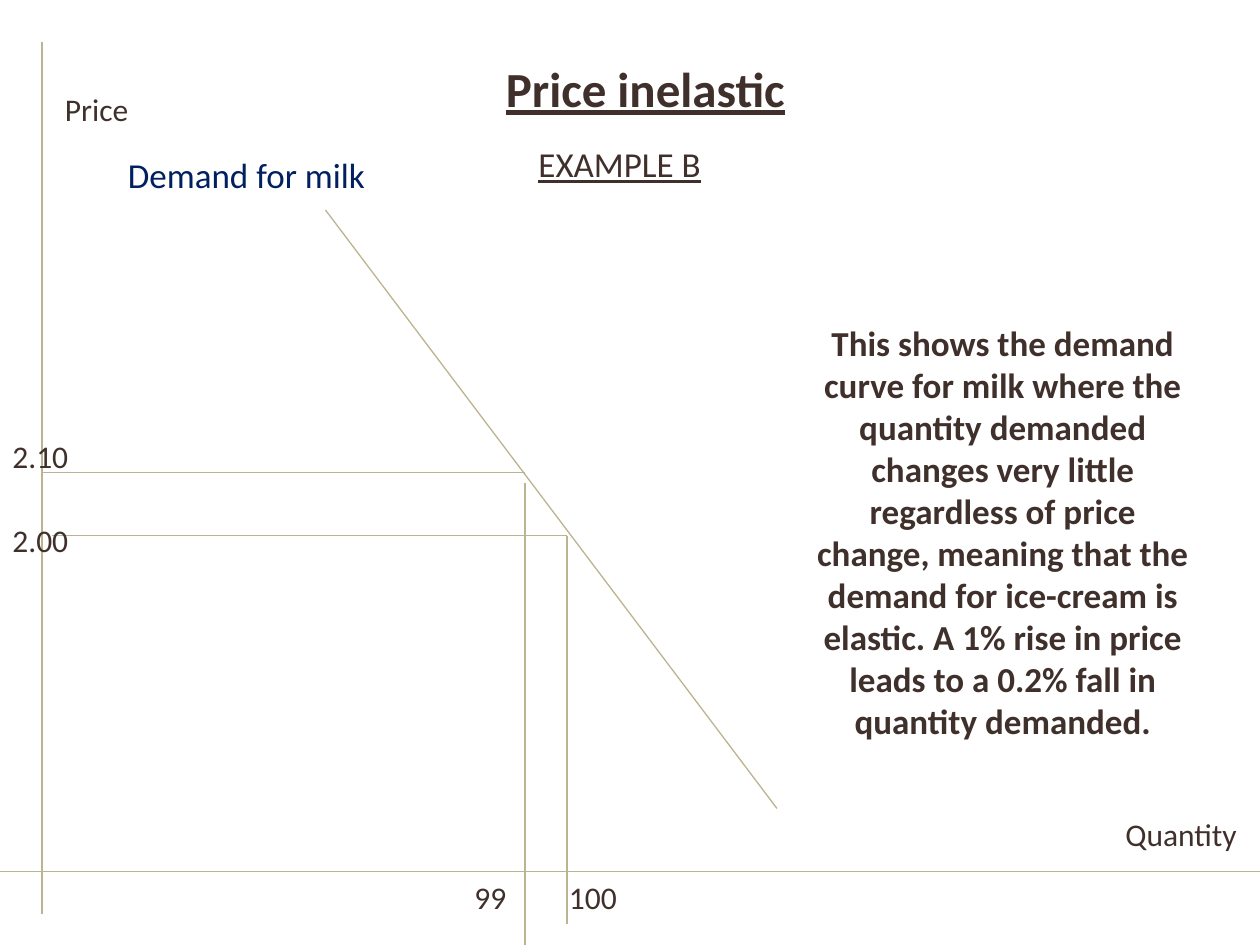
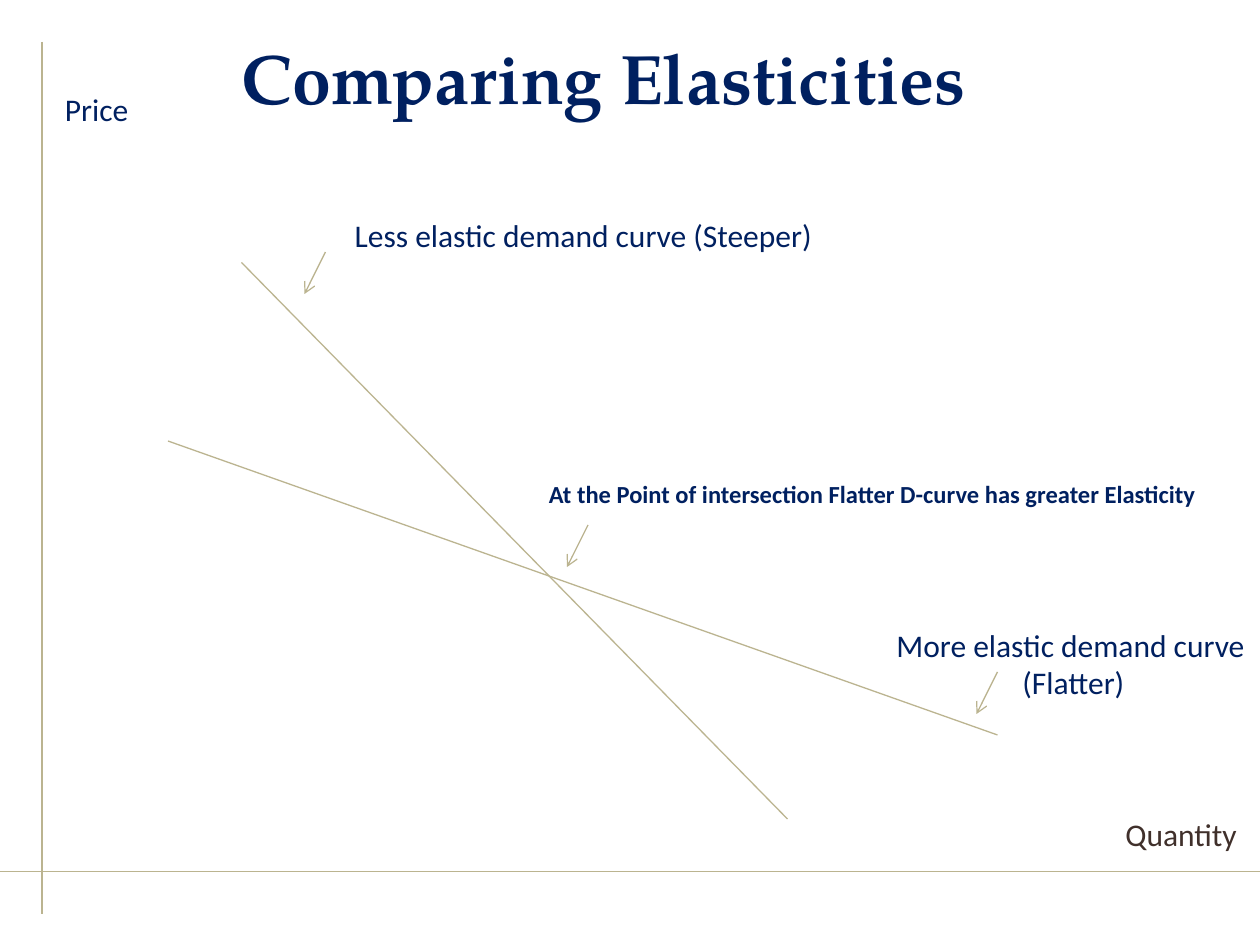
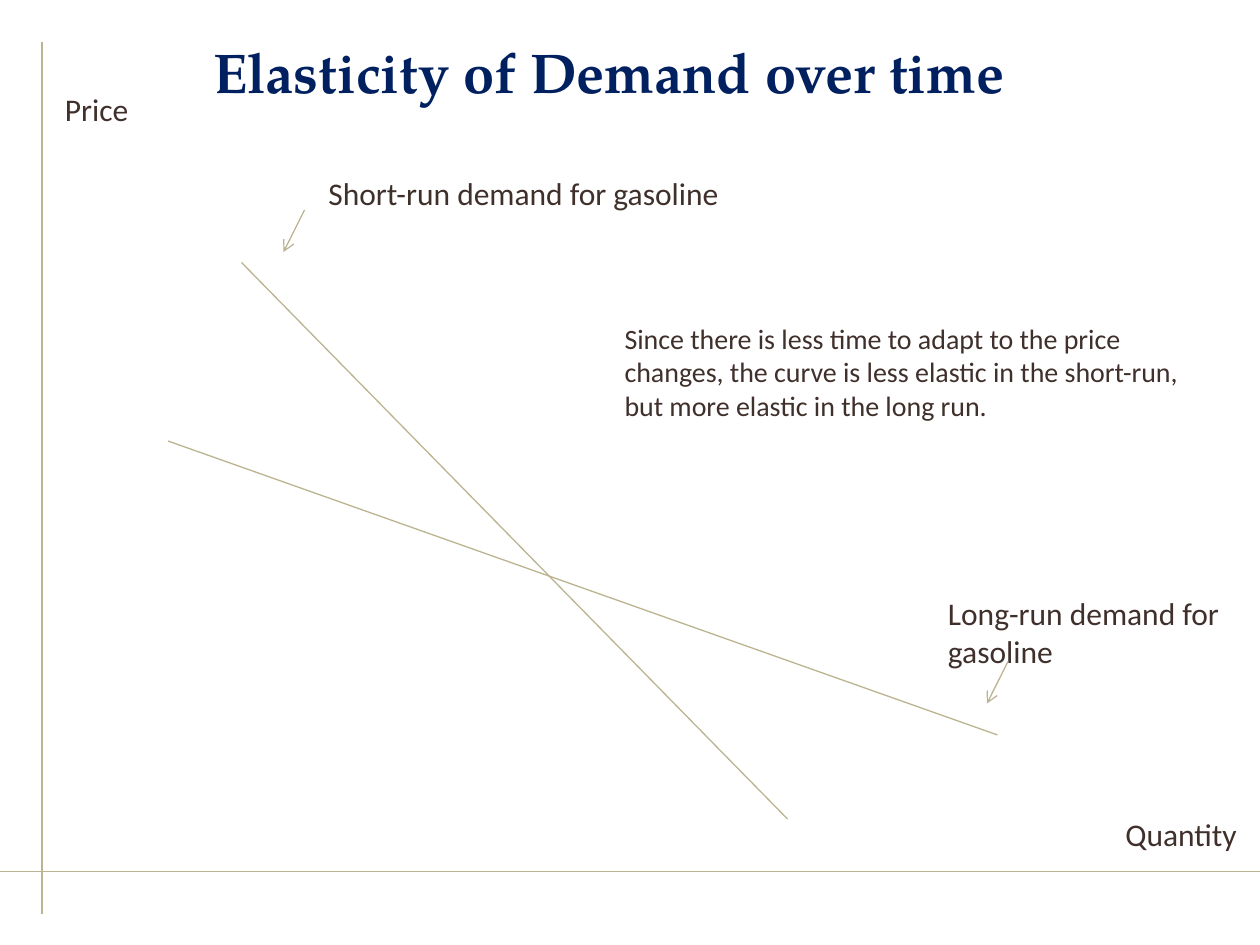
"""Three slides of demand curves and their price elasticity."""
from dataclasses import dataclass

from lxml import etree
from pptx import Presentation
from pptx import util as u
from pptx.dml.color import RGBColor
from pptx.enum import shapes, text
from pptx.oxml.ns import qn


@dataclass(frozen=True)
class Theme:
    """Colours, fonts and type sizes shared by the slides."""
    ink: RGBColor = RGBColor(0x40, 0x30, 0x2B)
    navy: RGBColor = RGBColor(0x00, 0x20, 0x60)
    line: RGBColor = RGBColor(0xBB, 0xB4, 0x90)
    body_font: str = "Calibri"
    title_font: str = "TeX Gyre Pagella"
    line_width: float = 0.75
    note: int = 14
    remark: int = 16
    label: int = 18
    caption: int = 20
    heading: int = 28
    long_title: int = 32
    title: int = 40


class Deck:
    """Draws diagram elements on a grid of 120 columns by 90 rows."""

    columns, rows = 120, 90

    def __init__(self, theme):
        """Start an empty 10 by 7.5 inch presentation."""
        self.theme = theme
        self.presentation = Presentation()
        self.presentation.slide_width = u.Inches(10)
        self.presentation.slide_height = u.Inches(7.5)
        self.slide = None

    def x(self, column):
        """Return the length of a number of columns."""
        return round(self.presentation.slide_width * column / self.columns)

    def y(self, row):
        """Return the length of a number of rows."""
        return round(self.presentation.slide_height * row / self.rows)

    def new_slide(self, price_color=None):
        """Add a blank slide with its price and quantity axes."""
        layout = self.presentation.slide_layouts[6]
        self.slide = self.presentation.slides.add_slide(layout)
        self.line((4, 4), (4, 87))
        self.line((0, 83), (120, 83))
        self.label(["Quantity"], 106, 77, 13.1)
        self.label(["Price"], 5, 8, 8.7, color=price_color)

    def line(self, start, end):
        """Draw a thin straight line between two grid points."""
        connector = self.slide.shapes.add_connector(
            shapes.MSO_CONNECTOR.STRAIGHT,
            self.x(start[0]), self.y(start[1]), self.x(end[0]), self.y(end[1]))
        connector.line.color.rgb = self.theme.line
        connector.line.width = u.Pt(self.theme.line_width)
        etree.SubElement(connector._element.spPr, qn("a:effectLst"))
        return connector

    def arrow(self, column, row):
        """Draw a short pointer down and left from a grid point."""
        connector = self.line((column, row), (column - 2, row + 4))
        etree.SubElement(connector.line._get_or_add_ln(), qn("a:tailEnd"), type="arrow")

    def crossing_curves(self):
        """Draw a flat and a steep demand curve that cross."""
        self.line((16, 42), (95, 70))
        self.line((23, 25), (75, 78))

    def label(self, lines, column, row, width, size=None, color=None, bold=False,
              underline=False, wrap=False, line_count=None,
              align=text.PP_ALIGN.LEFT):
        """Write lines of text in a box as tall as they need."""
        size = size or self.theme.label
        height = u.Pt(size * 1.2 * (line_count or len(lines))) + u.Inches(0.1)
        box = self.slide.shapes.add_textbox(
            self.x(column), self.y(row), self.x(width), height)
        frame = box.text_frame
        frame.word_wrap = wrap
        frame.auto_size = text.MSO_AUTO_SIZE.SHAPE_TO_FIT_TEXT
        frame.text = "\n".join(lines)
        for paragraph in frame.paragraphs:
            paragraph.alignment = align
            font = paragraph.font
            font.name, font.size = self.theme.body_font, u.Pt(size)
            font.bold, font.underline = bold, underline
            font.color.rgb = color or self.theme.ink
        return frame

    def title(self, words, column, width, height, size):
        """Write a centred slide title."""
        frame = self.label([words], column, 3.6, width, size, self.theme.navy,
                           bold=True, wrap=True, align=text.PP_ALIGN.CENTER)
        frame.auto_size = text.MSO_AUTO_SIZE.NONE
        frame.vertical_anchor = text.MSO_ANCHOR.MIDDLE
        frame.paragraphs[0].font.name = self.theme.title_font
        self.slide.shapes[-1].height = self.y(height)


def price_inelastic(deck):
    """Build the slide on the demand for milk."""
    theme = deck.theme
    deck.new_slide()
    deck.line((31, 20), (74, 77))
    deck.line((50, 46), (50, 90))
    deck.line((50, 45), (4, 45))
    deck.line((54, 51), (5, 51))
    deck.line((54, 51), (54, 88))
    for value, column, row, width in (("2.10", 0, 41, 7.8), ("2.00", 0, 49, 7.8),
                                      ("99", 44, 83, 5.5), ("100", 53, 83, 7.1)):
        deck.label([value], column, row, width)
    deck.label(["Demand for milk"], 11, 14, 25.2, theme.caption, theme.navy)
    deck.label(["EXAMPLE B"], 50.1, 13, 18, theme.caption, underline=True)
    deck.label(["Price inelastic"], 47, 5, 38, theme.heading, bold=True,
               underline=True, wrap=True)
    deck.label(["This shows the demand curve for milk where the quantity demanded "
                "changes very little regardless of price change, meaning that the "
                "demand for ice-cream is elastic. A 1% rise in price leads to a "
                "0.2% fall in quantity demanded."],
               76, 30, 39, theme.caption, bold=True, wrap=True, line_count=10,
               align=text.PP_ALIGN.CENTER)


def comparing_elasticities(deck):
    """Build the slide that compares a steep and a flat curve."""
    theme = deck.theme
    deck.new_slide(theme.navy)
    deck.title("Comparing Elasticities", 6, 103, 7.4, theme.title)
    deck.crossing_curves()
    deck.label(["Less elastic demand curve (Steeper)"], 32.6, 20, 46, color=theme.navy)
    flatter = deck.label(["More elastic demand curve", "(Flatter)"], 84.2, 59, 35.6,
                         color=theme.navy)
    flatter.paragraphs[1]._p.get_or_add_pPr().set("marL", str(deck.x(12)))
    deck.label(["At the Point of intersection Flatter D-curve has greater Elasticity"],
               51.1, 45, 64.3, theme.note, theme.navy, bold=True)
    for start in ((56, 50), (31, 24), (95, 64)):
        deck.arrow(*start)


def elasticity_over_time(deck):
    """Build the slide on short-run and long-run demand."""
    theme = deck.theme
    deck.new_slide()
    deck.title("Elasticity of Demand over time", 11, 94, 6.4, theme.long_title)
    deck.crossing_curves()
    deck.label(["Short-run demand for gasoline"], 30.1, 16, 39.8)
    deck.label(["Long-run demand for", "gasoline"], 89.1, 56, 29)
    deck.label(["Since there is less time to adapt to the price",
                "changes, the curve is less elastic in the short-run,",
                "but more elastic in the long run."], 58.3, 30, 55.3, theme.remark)
    for start in ((29, 20), (96, 63)):
        deck.arrow(*start)


def main():
    """Build the slides and save them."""
    deck = Deck(Theme())
    price_inelastic(deck)
    comparing_elasticities(deck)
    elasticity_over_time(deck)
    deck.presentation.save("out.pptx")


if __name__ == "__main__":
    main()
